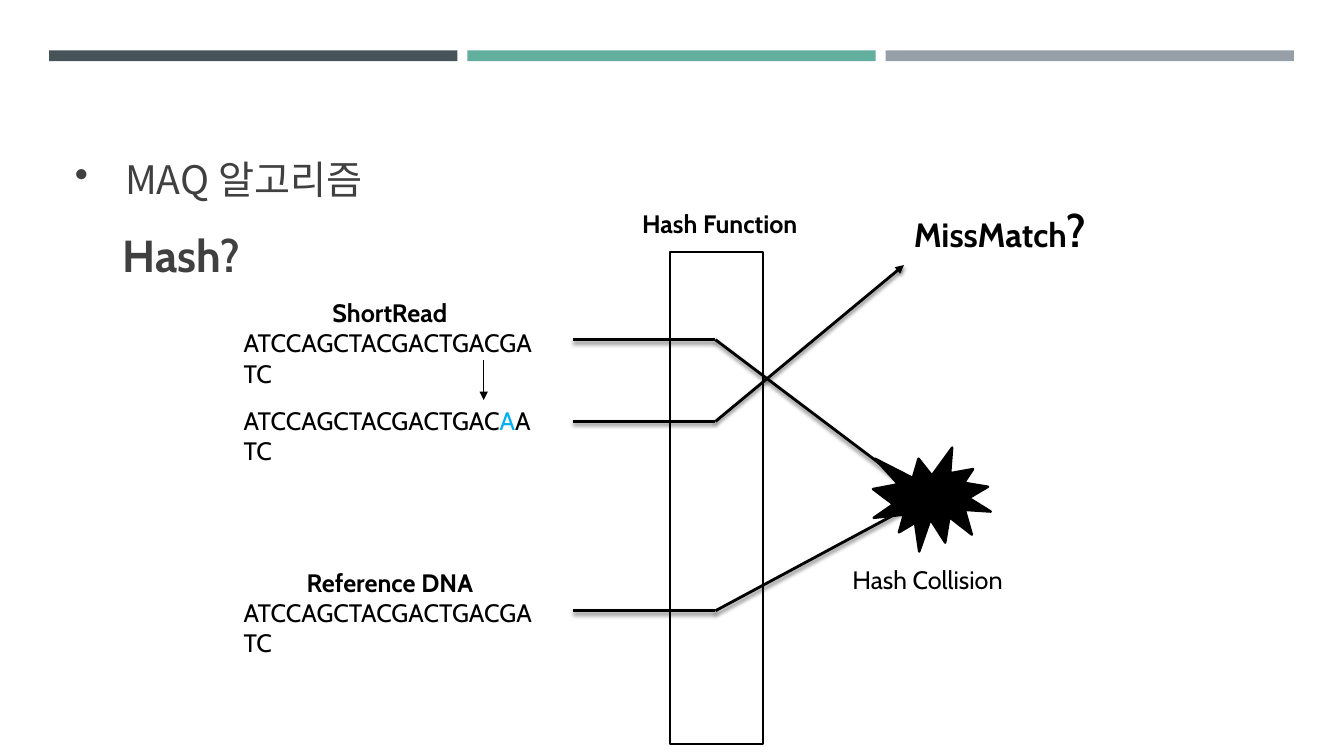
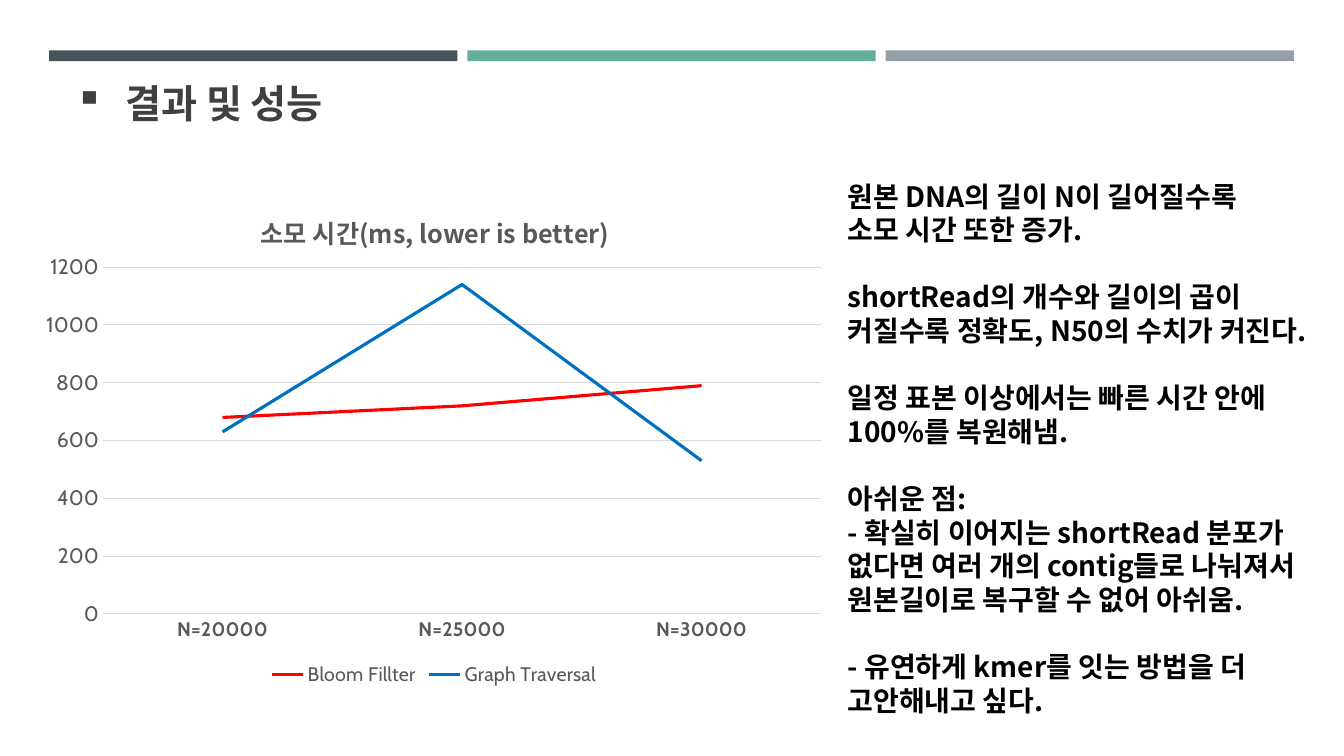
from dataclasses import dataclass
from typing import Optional

from lxml import etree
from pptx import Presentation
from pptx.chart.chart import Chart
from pptx.chart.data import CategoryChartData
from pptx.dml.color import RGBColor
from pptx.enum.chart import XL_CHART_TYPE, XL_LEGEND_POSITION, XL_TICK_MARK
from pptx.enum.shapes import MSO_CONNECTOR, MSO_SHAPE
from pptx.enum.text import MSO_ANCHOR, MSO_AUTO_SIZE, PP_ALIGN
from pptx.oxml.ns import qn
from pptx.slide import Slide
from pptx.text.text import Font, TextFrame, _Paragraph
from pptx.util import Cm, Pt

RECTANGLE = MSO_SHAPE.RECTANGLE
EXPLOSION = MSO_SHAPE.EXPLOSION1
STRAIGHT = MSO_CONNECTOR.STRAIGHT
LEFT = PP_ALIGN.LEFT
CENTER = PP_ALIGN.CENTER
ANCHOR_BOTTOM = MSO_ANCHOR.BOTTOM
ANCHOR_MIDDLE = MSO_ANCHOR.MIDDLE
NO_AUTOFIT = MSO_AUTO_SIZE.NONE
LINE_CHART = XL_CHART_TYPE.LINE
LEGEND_BOTTOM = XL_LEGEND_POSITION.BOTTOM
NO_TICK = XL_TICK_MARK.NONE

BLACK = RGBColor(0x00, 0x00, 0x00)
HEADING = RGBColor(0x40, 0x40, 0x40)
CHART_TEXT = RGBColor(0x59, 0x59, 0x59)
GRID = RGBColor(0xD9, 0xD9, 0xD9)
MUTATION = RGBColor(0x00, 0xB0, 0xF0)
RED = RGBColor(0xFF, 0x00, 0x00)
BLUE = RGBColor(0x00, 0x70, 0xC0)
BAND_COLORS = (
    RGBColor(0x46, 0x53, 0x59),
    RGBColor(0x63, 0xAF, 0x9D),
    RGBColor(0x96, 0x9F, 0xA7),
)

LATIN_FONT = "Cabin"
KOREAN_FONT = "Noto Sans CJK KR"
SEQUENCE = "ATCCAGCTACGACTGACGATC"


@dataclass(frozen=True)
class Box:
    left: float
    top: float
    width: float
    height: float

    def lengths(self) -> tuple[Cm, Cm, Cm, Cm]:
        return Cm(self.left), Cm(self.top), Cm(self.width), Cm(self.height)


@dataclass(frozen=True)
class Line:
    start: tuple[float, float]
    end: tuple[float, float]
    arrow: bool = False
    width: float = 2
    shadow: bool = True


@dataclass(frozen=True)
class Label:
    box: Box
    text: str
    size: float = 18
    bold: bool = True
    sequence: Optional[str] = None


@dataclass(frozen=True)
class Finding:
    text: str
    gap_before: bool = True


@dataclass(frozen=True)
class TimeSeries:
    name: str
    values: tuple[int, ...]
    color: RGBColor


READ_ROW, MUTATED_ROW, REFERENCE_ROW = 8.56, 10.62, 15.39
LINE_START, HASH_CENTER = 14.43, 18.03
COLLISION = (23.32, 12.55)
MISMATCH = (22.78, 6.68)

LABELS = (
    Label(Box(5.89, 7.37, 7.87, 1.8), "ShortRead", sequence=SEQUENCE),
    Label(Box(5.89, 14.17, 7.87, 1.8), "Reference DNA", sequence=SEQUENCE),
    Label(Box(15.93, 5.13, 4.75, 1.02), "Hash Function"),
    Label(Box(21.23, 14.1, 5.79, 1.02), "Hash Collision", bold=False),
)
LINES = (
    *(Line((LINE_START, row), (HASH_CENTER, row))
      for row in (READ_ROW, MUTATED_ROW, REFERENCE_ROW)),
    Line((HASH_CENTER, READ_ROW), COLLISION, arrow=True),
    Line((HASH_CENTER, REFERENCE_ROW), COLLISION, arrow=True),
    Line((HASH_CENTER, MUTATED_ROW), MISMATCH, arrow=True),
    Line((12.19, 9.07), (12.19, 10.08), arrow=True, width=1, shadow=False),
)
FINDINGS = (
    Finding("원본 DNA의 길이 N이 길어질수록", gap_before=False),
    Finding("소모 시간 또한 증가.", gap_before=False),
    Finding("shortRead의 개수와 길이의 곱이 커질수록 정확도, N50의 수치가 커진다."),
    Finding("일정 표본 이상에서는 빠른 시간 안에 100%를 복원해냄."),
    Finding("아쉬운 점:"),
    Finding("- 확실히 이어지는 shortRead 분포가 없다면 여러 개의 contig들로 "
            "나눠져서 원본길이로 복구할 수 없어 아쉬움.", gap_before=False),
    Finding("- 유연하게 kmer를 잇는 방법을 더 고안해내고 싶다."),
)
SERIES = (
    TimeSeries("Bloom Fillter", (680, 720, 790), RED),
    TimeSeries("Graph Traversal", (630, 1140, 530), BLUE),
)


def format_font(font: Font, size: float, color: RGBColor = BLACK,
                bold: bool = False, name: str = LATIN_FONT) -> None:
    font.size = Pt(size)
    font.bold = bold
    font.name = name
    font.color.rgb = color


def add_text(paragraph: _Paragraph, text: str, *, size: float = 18,
             color: RGBColor = BLACK, bold: bool = False,
             name: str = LATIN_FONT) -> None:
    run = paragraph.add_run()
    run.text = text
    format_font(run.font, size, color, bold, name)
    properties = run._r.get_or_add_rPr()
    etree.SubElement(properties, qn("a:ea")).set("typeface", KOREAN_FONT)


def set_bullet(paragraph: _Paragraph, bullet: Optional[str], indent: float) -> None:
    properties = paragraph._p.get_or_add_pPr()
    properties.set("marL", str(Cm(indent)))
    properties.set("indent", str(-Cm(indent)))
    if bullet:
        etree.SubElement(properties, qn("a:buChar")).set("char", bullet)
    else:
        etree.SubElement(properties, qn("a:buNone"))


def add_text_box(slide: Slide, box: Box) -> TextFrame:
    frame = slide.shapes.add_textbox(*box.lengths()).text_frame
    frame.word_wrap = True
    return frame


def place_placeholder(slide: Slide, index: int, box: Box,
                      anchor: MSO_ANCHOR) -> _Paragraph:
    shape = slide.placeholders[index]
    shape.left, shape.top, shape.width, shape.height = box.lengths()
    frame = shape.text_frame
    frame.auto_size = NO_AUTOFIT
    frame.vertical_anchor = anchor
    paragraph = frame.paragraphs[0]
    paragraph.alignment = LEFT
    return paragraph


def set_title(slide: Slide, text: str, *, top: float, bullet: str, bold: bool) -> None:
    paragraph = place_placeholder(slide, 0, Box(1.63, top, 30.63, 3.3), ANCHOR_BOTTOM)
    set_bullet(paragraph, bullet, 1.27)
    add_text(paragraph, text, size=28, color=HEADING, bold=bold, name=KOREAN_FONT)


def add_master_bands(presentation: Presentation, slide: Slide) -> None:
    tree = presentation.slide_master.shapes.element
    for index, color in enumerate(BAND_COLORS):
        box = Box(1.24 + index * 10.54, 1.27, 10.29, 0.27)
        band = slide.shapes.add_shape(RECTANGLE, *box.lengths())
        band.shadow.inherit = False
        band.fill.solid()
        band.fill.fore_color.rgb = color
        band.line.fill.background()
        band.name = f"Band {index + 1}"
        band.element.nvSpPr.cNvPr.set("id", str(100 + index))
        tree.append(band.element)


def add_line(slide: Slide, line: Line) -> None:
    points = (Cm(value) for value in (*line.start, *line.end))
    connector = slide.shapes.add_connector(STRAIGHT, *points)
    connector.line.width = Pt(line.width)
    connector.line.color.rgb = BLACK
    properties = connector.element.spPr
    if line.arrow:
        outline = properties.find(qn("a:ln"))
        etree.SubElement(outline, qn("a:tailEnd")).set("type", "triangle")
    effects = etree.SubElement(properties, qn("a:effectLst"))
    if line.shadow:
        shadow = etree.SubElement(effects, qn("a:outerShdw"), blurRad=str(Pt(3)),
                                  dist=str(Pt(2)), dir="5400000", rotWithShape="0")
        color = etree.SubElement(shadow, qn("a:srgbClr"), val=str(BLACK))
        etree.SubElement(color, qn("a:alpha"), val="55000")


def add_outlined_shape(slide: Slide, kind: MSO_SHAPE, box: Box,
                       fill: Optional[RGBColor] = None) -> None:
    shape = slide.shapes.add_shape(kind, *box.lengths())
    shape.shadow.inherit = False
    if fill is None:
        shape.fill.background()
    else:
        shape.fill.solid()
        shape.fill.fore_color.rgb = fill
    shape.line.color.rgb = BLACK
    shape.line.width = Pt(1.75)


def add_label(slide: Slide, label: Label) -> None:
    frame = add_text_box(slide, label.box)
    heading = frame.paragraphs[0]
    add_text(heading, label.text, size=label.size, bold=label.bold)
    if label.sequence:
        heading.alignment = CENTER
        add_text(frame.add_paragraph(), label.sequence)


def build_hash_slide(slide: Slide) -> None:
    set_title(slide, "MAQ 알고리즘", top=1.93, bullet="•", bold=False)
    question = place_placeholder(slide, 1, Box(2.84, 1.3, 30.63, 10.08), ANCHOR_MIDDLE)
    question.line_spacing = 1.1
    question.space_after = Pt(6)
    set_bullet(question, None, 0)
    add_text(question, "Hash?", size=32, color=HEADING, bold=True)

    add_outlined_shape(slide, RECTANGLE, Box(16.89, 6.35, 2.34, 12.4))
    for line in LINES:
        add_line(slide, line)
    add_outlined_shape(slide, EXPLOSION, Box(22, 11.28, 2.97, 2.62), BLACK)
    for label in LABELS:
        add_label(slide, label)

    mutated = add_text_box(slide, Box(5.89, 10.08, 7.87, 1.02)).paragraphs[0]
    add_text(mutated, "ATCCAGCTACGACTGAC")
    add_text(mutated, "A", color=MUTATION)
    add_text(mutated, "ATC")
    mismatch = add_text_box(slide, Box(22.78, 4.98, 5.99, 1.63)).paragraphs[0]
    add_text(mismatch, "MissMatch", size=24, bold=True)
    add_text(mismatch, "?", size=32, bold=True)


def set_layout(parent: etree._Element, position: int, **values: float) -> None:
    for existing in parent.findall(qn("c:layout")):
        parent.remove(existing)
    layout = etree.Element(qn("c:layout"))
    manual = etree.SubElement(layout, qn("c:manualLayout"))
    if "w" in values:
        etree.SubElement(manual, qn("c:layoutTarget"), val="inner")
    for mode in ("xMode", "yMode"):
        etree.SubElement(manual, qn(f"c:{mode}"), val="edge")
    for key, value in values.items():
        etree.SubElement(manual, qn(f"c:{key}"), val=str(value))
    parent.insert(position, layout)


def format_axes(chart: Chart) -> None:
    category_axis, value_axis = chart.category_axis, chart.value_axis
    for axis in (category_axis, value_axis):
        axis.major_tick_mark = NO_TICK
        axis.minor_tick_mark = NO_TICK
    format_font(category_axis.tick_labels.font, 14, CHART_TEXT, bold=True)
    format_font(value_axis.tick_labels.font, 15, CHART_TEXT)
    value_axis.minimum_scale, value_axis.maximum_scale = 0, 1200
    value_axis.major_unit = 200
    value_axis.has_major_gridlines = True
    value_axis.format.line.fill.background()
    for line in (category_axis.format.line, value_axis.major_gridlines.format.line):
        line.color.rgb = GRID
        line.width = Pt(0.75)


def add_time_chart(slide: Slide) -> None:
    data = CategoryChartData()
    data.categories = ("N=20000", "N=25000", "N=30000")
    for series in SERIES:
        data.add_series(series.name, series.values)
    box = Box(0.76, 4.55, 20.35, 12.85)
    chart = slide.shapes.add_chart(LINE_CHART, *box.lengths(), data).chart
    format_font(chart.font, 10)
    for plotted, series in zip(chart.plots[0].series, SERIES):
        plotted.smooth = False
        plotted.format.line.color.rgb = series.color
        plotted.format.line.width = Pt(2.25)
    chart.plots[0].vary_by_categories = False
    format_axes(chart)
    chart.has_legend = True
    chart.legend.position = LEGEND_BOTTOM
    chart.legend.include_in_layout = False
    format_font(chart.legend.font, 14, CHART_TEXT)
    title = chart.chart_title
    add_text(title.text_frame.paragraphs[0], "소모 시간(ms, lower is better)",
             size=18, color=CHART_TEXT, bold=True, name=KOREAN_FONT)
    set_layout(chart.element.find(f".//{qn('c:title')}"), 1, x=0.28, y=0.05)
    set_layout(chart.element.find(f".//{qn('c:plotArea')}"), 0,
               x=0.09, y=0.17, w=0.89, h=0.68)


def build_result_slide(slide: Slide) -> None:
    set_title(slide, "결과 및 성능", top=0, bullet="▪", bold=True)
    frame = add_text_box(slide, Box(21.11, 4.39, 12.4, 13.94))
    for index, finding in enumerate(FINDINGS):
        paragraph = frame.add_paragraph() if index else frame.paragraphs[0]
        paragraph.line_spacing = Pt(24)
        paragraph.space_before = Pt(24 if finding.gap_before else 0)
        add_text(paragraph, finding.text, size=20, bold=True, name=KOREAN_FONT)
    add_time_chart(slide)


def main() -> None:
    presentation = Presentation()
    presentation.slide_width, presentation.slide_height = Cm(33.87), Cm(19.05)
    layouts = presentation.slide_layouts
    hash_slide = presentation.slides.add_slide(layouts[1])
    add_master_bands(presentation, hash_slide)
    build_hash_slide(hash_slide)
    build_result_slide(presentation.slides.add_slide(layouts[5]))
    presentation.save("out.pptx")


if __name__ == "__main__":
    main()
